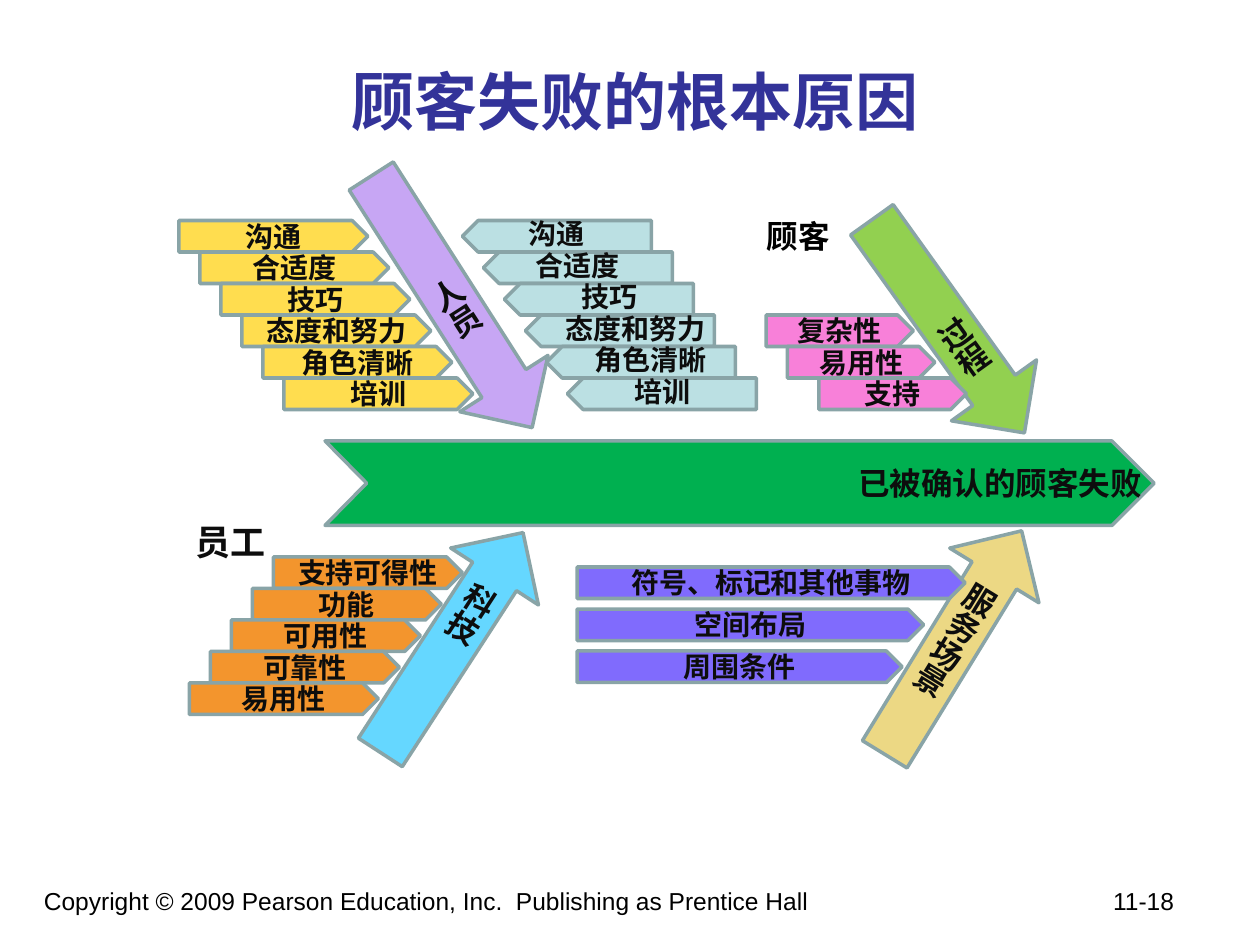
"""Builds a fishbone slide on the root causes of customer failure."""
from pptx import Presentation
from pptx.dml.color import RGBColor
from pptx.enum.shapes import MSO_SHAPE as Preset
from pptx.enum.text import MSO_ANCHOR as Anchor, PP_ALIGN as Align
from pptx.util import Inches, Pt
from lxml.etree import SubElement
from pptx.oxml.ns import qn

BLACK = RGBColor(0x00, 0x00, 0x00)
INK = RGBColor(0x0D, 0x0D, 0x0D)
NAVY = RGBColor(0x33, 0x33, 0x99)
EDGE = RGBColor(0x89, 0xA4, 0xA7)
GREEN = RGBColor(0x00, 0xB0, 0x50)
LILAC = RGBColor(0xC7, 0xA6, 0xF4)
SKY = RGBColor(0x65, 0xD7, 0xFF)
LIME = RGBColor(0x92, 0xD0, 0x50)
SAND = RGBColor(0xEC, 0xD8, 0x84)
YELLOW = RGBColor(0xFF, 0xDD, 0x4F)
TEAL = RGBColor(0xBB, 0xE0, 0xE3)
PINK = RGBColor(0xF8, 0x80, 0xD9)
ORANGE = RGBColor(0xF3, 0x95, 0x2D)
VIOLET = RGBColor(0x80, 0x6B, 0xFD)

STEP = 1 / 6
BAR_HEIGHT = 0.25
STAFF_CAUSES = ["沟通", "合适度", "技巧", "态度和努力", "角色清晰", "培训"]
STAFF_LABELS = [(4.08, 0.67), (3.75, 1.67), (4.5, 0.67),
                (4.17, 1.75), (4.33, 1.67), (4.92, 0.67)]
PROCESS_CAUSES = [(6.08, "复杂性"), (6.25, "易用性"), (6.5, "支持")]
TECHNOLOGY_CAUSES = ["支持可得性", "功能", "可用性", "可靠性", "易用性"]
SETTING_CAUSES = [(3.08, "符号、标记和其他事物"), (2.75, "空间布局"), (2.58, "周围条件")]


class Fishbone:
    def __init__(self, slide):
        self.slide = slide

    def letter(self, shape, text, size, align=Align.CENTER, color=INK,
               bold=True, font="Arial", anchor=Anchor.MIDDLE):
        frame = shape.text_frame
        frame.word_wrap = True
        frame.vertical_anchor = anchor
        paragraph = frame.paragraphs[0]
        paragraph.text = text
        paragraph.alignment = align
        paragraph.font.size = Pt(size)
        paragraph.font.name = font
        paragraph.font.bold = bold
        paragraph.font.color.rgb = color
        return paragraph

    def paint(self, shape, fill):
        shape.shadow.inherit = False
        shape.fill.solid()
        shape.fill.fore_color.rgb = fill
        shape.line.color.rgb = EDGE
        shape.line.width = Pt(2)

    def label(self, left, top, width, height, text, size, **style):
        box = self.slide.shapes.add_textbox(
            Inches(left), Inches(top), Inches(width), Inches(height))
        return self.letter(box, text, size, **{"anchor": Anchor.TOP, **style})

    def bar(self, left, top, width, fill, height=BAR_HEIGHT, notch=0, to_left=False):
        tip = height / 2
        outline = [(0, 0), (width - tip, 0), (width, tip),
                   (width - tip, height), (0, height), (notch, tip)]
        points = [(Inches(left + (width - x if to_left else x)), Inches(top + y))
                  for x, y in outline]
        builder = self.slide.shapes.build_freeform(*points[0])
        builder.add_line_segments(points[1:], close=True)
        shape = builder.convert_to_shape()
        self.paint(shape, fill)
        return shape

    def cause(self, left, top, width, fill, text):
        self.letter(self.bar(left, top, width, fill), text, 16)

    def bone(self, preset, left, top, height, angle, fill, text, align, indent):
        arrow = self.slide.shapes.add_shape(
            preset, Inches(left), Inches(top), Inches(0.83), Inches(height))
        arrow.rotation = angle
        self.paint(arrow, fill)
        frame = arrow.text_frame
        frame.margin_left = frame.margin_right = Inches(0.05)
        frame.margin_top = frame.margin_bottom = Inches(0.1)
        paragraph = self.letter(arrow, text, 18, align)
        paragraph._p.get_or_add_pPr().set("marL", str(Inches(indent)))
        frame._txBody.bodyPr.set("vert", "eaVert")

    def footer(self, text, number):
        box = self.slide.shapes.add_textbox(
            Inches(0.25), Inches(6.98), Inches(9.33), Inches(0.52))
        properties = box.text_frame.paragraphs[0]._p.get_or_add_pPr()
        tabs = SubElement(properties, qn("a:tabLst"))
        SubElement(tabs, qn("a:tab"), pos=str(Inches(8.97)), algn="r")
        self.letter(box, f"{text}\t{number}", 14, Align.LEFT, BLACK,
                    bold=False, anchor=Anchor.TOP)


def main():
    deck = Presentation()
    deck.slide_width, deck.slide_height = Inches(10), Inches(7.5)
    fishbone = Fishbone(deck.slides.add_slide(deck.slide_layouts[6]))

    fishbone.footer("Copyright © 2009 Pearson Education, Inc.  Publishing as Prentice Hall", "11-18")
    fishbone.label(0.83, 0.17, 8.42, 1.25, "顾客失败的根本原因", 36, color=NAVY,
                   font="Noto Sans CJK SC", anchor=Anchor.MIDDLE)
    spine = fishbone.bar(2.58, 3.5, 6.58, GREEN, height=0.67, notch=0.33)
    fishbone.letter(spine, "已被确认的顾客失败", 18, Align.RIGHT)

    down, up = (Preset.DOWN_ARROW, Align.CENTER, 0.9), (Preset.UP_ARROW, Align.LEFT, 0.21)
    for (preset, align, indent), left, top, height, angle, fill, text in [
        (down, 3.17, 1.21, 2.37, 327.4, LILAC, "人员"),
        (up, 3.17, 4.06, 2.08, 33, SKY, "科技"),
        (down, 7.11, 1.55, 2.08, 324.4, LIME, "过程"),
        (up, 7.15, 4.06, 2.08, 31.5, SAND, "服务场景"),
    ]:
        fishbone.bone(preset, left, top, height, angle, fill, text, align, indent)

    fishbone.label(1.33, 4.08, 1, 0.44, "员工", 20)
    for row, text in enumerate(STAFF_CAUSES):
        top = 1.75 + row * BAR_HEIGHT
        fishbone.cause(1.42 + row * STEP, top, 1.5, YELLOW, text)
    for row in range(len(STAFF_CAUSES)):
        fishbone.bar(3.67 + row * STEP, 1.75 + row * BAR_HEIGHT, 1.5, TEAL, to_left=True)
    for row, (text, (left, width)) in enumerate(zip(STAFF_CAUSES, STAFF_LABELS)):
        fishbone.label(left, 1.67 + row * BAR_HEIGHT, width, 0.37, text, 16)

    fishbone.label(5.92, 1.67, 0.83, 0.4, "顾客", 18, color=BLACK)
    for row, (left, text) in enumerate(PROCESS_CAUSES):
        fishbone.cause(left, 2.5 + row * BAR_HEIGHT, 1.17, PINK, text)
    for row, text in enumerate(TECHNOLOGY_CAUSES):
        fishbone.cause(2.17 - row * STEP, 4.42 + row * BAR_HEIGHT, 1.5, ORANGE, text)
    for row, (width, text) in enumerate(SETTING_CAUSES):
        fishbone.cause(4.58, 4.5 + row * 2 * STEP, width, VIOLET, text)

    deck.save("out.pptx")


if __name__ == "__main__":
    main()
